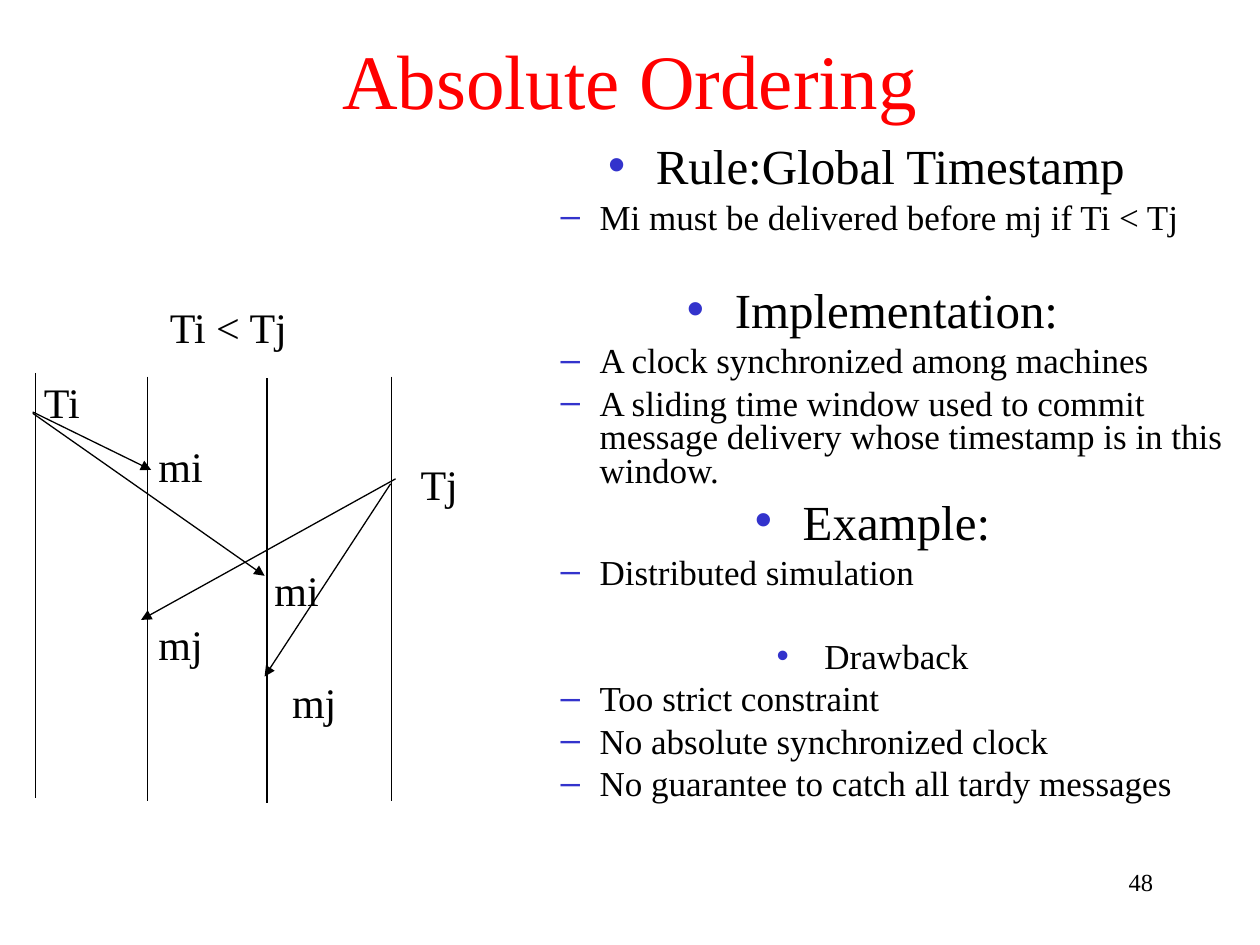
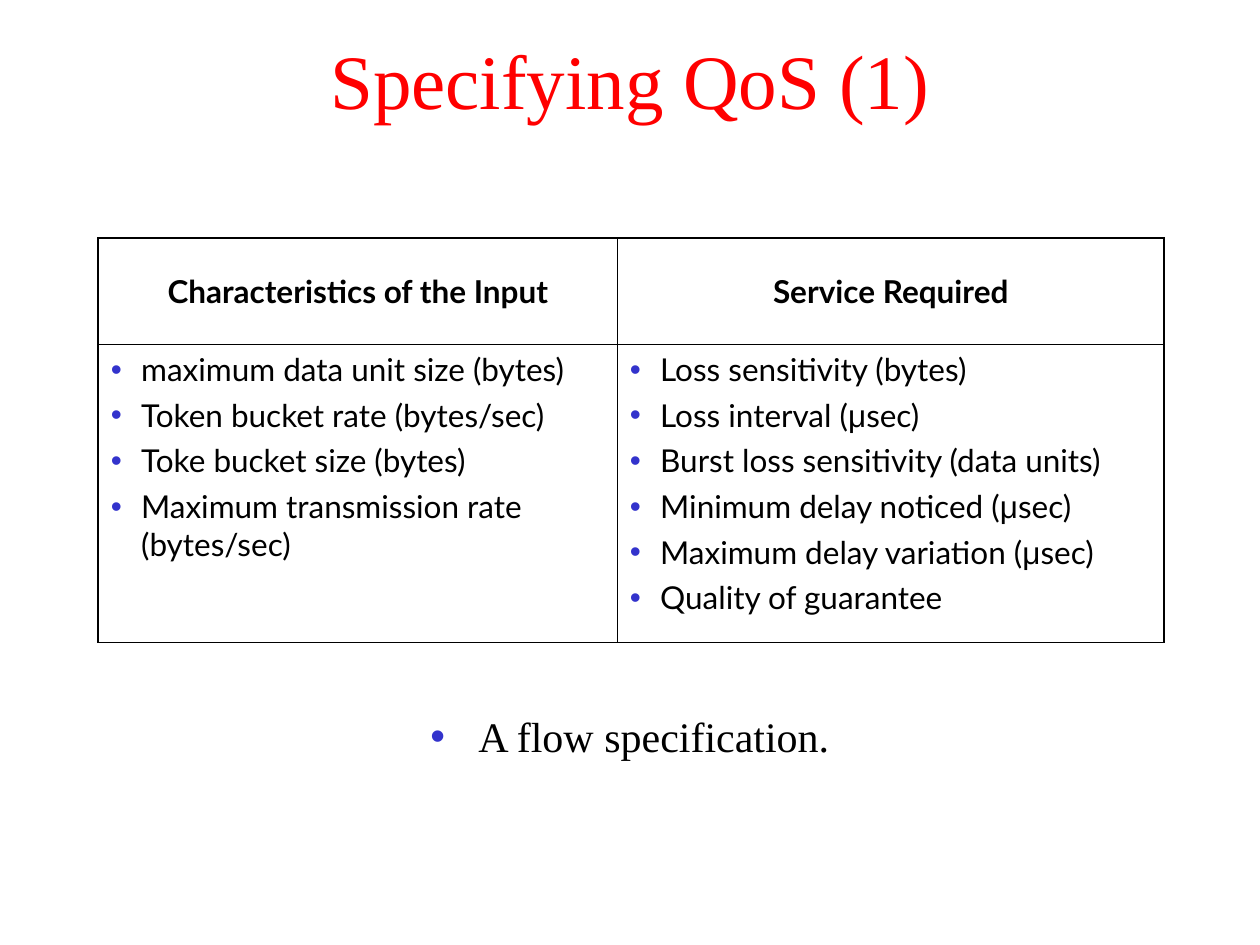
import pptx
import pptx.util
import pptx.dml.color
import pptx.enum.shapes
import pptx.enum.text
import pptx.oxml.ns
from lxml import etree

Inches, Pt = pptx.util.Inches, pptx.util.Pt
ALIGN = pptx.enum.text.PP_ALIGN
ANCHOR = pptx.enum.text.MSO_ANCHOR
FIT = pptx.enum.text.MSO_AUTO_SIZE
COLORS = {"title": "FF0000", "text": "000000", "bullet": "3333CC", "background": "FFFFFF"}
SERIF, SANS, SYMBOL = "Times New Roman", "Lato", "Arial"
OUTER, INNER = 1.08, 0.45

ORDERING = [
    ("Rule:Global Timestamp ", ["Mi must be delivered before mj if Ti < Tj"], 28, 0),
    ("Implementation:", [
        "A clock synchronized among machines",
        "A sliding time window used to commit message delivery whose timestamp is in this window.",
    ], 28, 31),
    ("Example:", ["Distributed simulation"], 28, 7),
    ("Drawback", [
        "Too strict constraint",
        "No absolute synchronized clock",
        "No guarantee to catch all tardy messages",
    ], 20, 29),
]
TIMELINES = [(0.28, 2.96), (1.17, 2.99), (2.12, 3), (3.11, 2.99)]
TIMELINE_LENGTH = 3.37
MESSAGES = [
    (0.26, 3.27, 1.2, 3.73),
    (0.26, 3.28, 2.1, 4.57),
    (3.14, 3.8, 1.12, 4.92),
    (3.1, 3.84, 2.1, 5.37),
]
LABELS = [
    ("mi", 1.16, 3.45, 0.6),
    ("mi", 2.08, 4.43, 0.6),
    ("mj", 1.16, 4.86, 0.6),
    ("mj", 2.22, 5.32, 0.6),
    ("Tj", 3.24, 3.59, 0.6),
    ("Ti", 0.25, 2.94, 0.6),
    ("Ti < Tj", 1.25, 2.34, 1.2),
]
QOS = {
    "Characteristics of the Input": [
        "maximum data unit size (bytes)",
        "Token bucket rate (bytes/sec)",
        "Toke bucket size (bytes)",
        "Maximum transmission rate (bytes/sec)",
    ],
    "Service Required": [
        "Loss sensitivity (bytes)",
        "Loss interval (μsec)",
        "Burst loss sensitivity (data units)",
        "Minimum delay noticed (μsec)",
        "Maximum delay variation (μsec)",
        "Quality of guarantee",
    ],
}


def rgb(name):
    return pptx.dml.color.RGBColor.from_string(COLORS[name])


def sub(parent, tag, **attrs):
    return etree.SubElement(parent, pptx.oxml.ns.qn(tag), **attrs)


def style(font, size, name=SERIF, color="text", bold=False):
    font.size = Pt(size)
    font.name = name
    font.bold = bold
    font.color.rgb = rgb(color)


def add_runs(p, text, size, name=SERIF, bold=False):
    for i, part in enumerate(text.split("μ")):
        if i:
            r = p.add_run()
            r.text = "μ"
            style(r.font, size, SYMBOL)
        r = p.add_run()
        r.text = part
        style(r.font, size, name, bold=bold)


def add_bullet(p, char, margin, hanging):
    pPr = p._p.get_or_add_pPr()
    pPr.set("marL", str(Inches(margin)))
    pPr.set("indent", str(-Inches(hanging)))
    color = sub(pPr, "a:buClr")
    sub(color, "a:srgbClr", val=COLORS["bullet"])
    sub(pPr, "a:buFont", typeface=SYMBOL)
    sub(pPr, "a:buChar", char=char)


def next_paragraph(tf):
    return tf.paragraphs[0] if not tf.paragraphs[0].runs else tf.add_paragraph()


def add_item(tf, text, size, before=0, level=0, spacing=None):
    p = next_paragraph(tf)
    p.space_before = Pt(before)
    if spacing:
        p.line_spacing = spacing
    if level:
        p.level = level
        add_bullet(p, "–", 0.81, 0.31)
    else:
        p.alignment = ALIGN.CENTER
        add_bullet(p, "•", 0.38, 0.38)
    add_runs(p, text, size)


def add_textbox(slide, x, y, w, h, wrap=True):
    sp = slide.shapes.add_textbox(Inches(x), Inches(y), Inches(w), Inches(h))
    tf = sp.text_frame
    tf.word_wrap = wrap
    tf.auto_size = FIT.NONE
    return tf


def add_label(slide, text, x, y, w, size=24, align=ALIGN.LEFT):
    tf = add_textbox(slide, x, y, w, 0.5)
    tf.paragraphs[0].alignment = align
    add_runs(tf.paragraphs[0], text, size)


def add_line(slide, x1, y1, x2, y2, arrow=False):
    cx = slide.shapes.add_connector(
        pptx.enum.shapes.MSO_CONNECTOR.STRAIGHT, Inches(x1), Inches(y1), Inches(x2), Inches(y2))
    cx.line.color.rgb = rgb("text")
    cx.line.width = Pt(0.75)
    if arrow:
        sub(cx.line._get_or_add_ln(), "a:tailEnd", type="triangle")
    sub(cx._element.spPr, "a:effectLst")


def add_titled_slide(prs, title):
    slide = prs.slides.add_slide(prs.slide_layouts[5])
    slide.background.fill.solid()
    slide.background.fill.fore_color.rgb = rgb("background")
    sp = slide.shapes.title
    sp.left, sp.top, sp.width, sp.height = Inches(0), Inches(0), Inches(10), Inches(1.25)
    tf = sp.text_frame
    tf.text = title
    tf.auto_size = FIT.NONE
    tf.vertical_anchor = ANCHOR.MIDDLE
    tf.paragraphs[0].alignment = ALIGN.CENTER
    style(tf.paragraphs[0].runs[0].font, 44, color="title")
    return slide


def set_borders(cell, widths):
    tcPr = cell._tc.get_or_add_tcPr()
    for side, width in zip("LRTB", widths):
        ln = sub(tcPr, "a:ln" + side, w=str(Pt(width)))
        sub(sub(ln, "a:solidFill"), "a:srgbClr", val=COLORS["text"])


def add_qos_table(slide):
    frame = slide.shapes.add_table(2, 2, Inches(0.78), Inches(1.89), Inches(8.46), Inches(3.21))
    table = frame.table
    table.first_row = table.horz_banding = False
    for row, height in zip(table.rows, (0.84, 2.37)):
        row.height = Inches(height)
    for col, width in zip(table.columns, (4.12, 4.34)):
        col.width = Inches(width)
    for c, (heading, items) in enumerate(QOS.items()):
        sides = (INNER, OUTER) if c else (OUTER, INNER)
        head, body = table.cell(0, c), table.cell(1, c)
        set_borders(head, sides + (OUTER, INNER))
        set_borders(body, sides + (INNER, OUTER))
        for cell in (head, body):
            cell.fill.background()
        head.vertical_anchor = ANCHOR.MIDDLE
        p = head.text_frame.paragraphs[0]
        p.alignment = ALIGN.CENTER
        add_runs(p, heading, 18, SANS, True)
        for i, item in enumerate(items):
            p = next_paragraph(body.text_frame)
            p.space_before = Pt(4.5 if i else 0)
            add_bullet(p, "•", 0.24, 0.24)
            add_runs(p, item, 18, SANS)


def build_ordering(prs):
    slide = add_titled_slide(prs, "Absolute Ordering")
    add_label(slide, "48", 7.17, 6.83, 2.08, 14, ALIGN.RIGHT)
    tf = add_textbox(slide, 3.85, 1.12, 6.15, 5.79)
    for heading, points, size, before in ORDERING:
        add_item(tf, heading, size, before, spacing=0.8)
        for point in points:
            add_item(tf, point, 20, 5, 1, 0.8)
    for x, top in TIMELINES:
        add_line(slide, x, top, x, top + TIMELINE_LENGTH)
    for ends in MESSAGES:
        add_line(slide, *ends, arrow=True)
    for label in LABELS:
        add_label(slide, *label)


def build_qos(prs):
    slide = add_titled_slide(prs, "Specifying QoS (1)")
    add_item(add_textbox(slide, 0, 5.59, 10, 0.92), "A flow specification.", 24)
    add_qos_table(slide)


def main():
    prs = pptx.Presentation()
    prs.slide_width, prs.slide_height = Inches(10), Inches(7.5)
    build_ordering(prs)
    build_qos(prs)
    prs.save("out.pptx")


if __name__ == "__main__":
    main()
